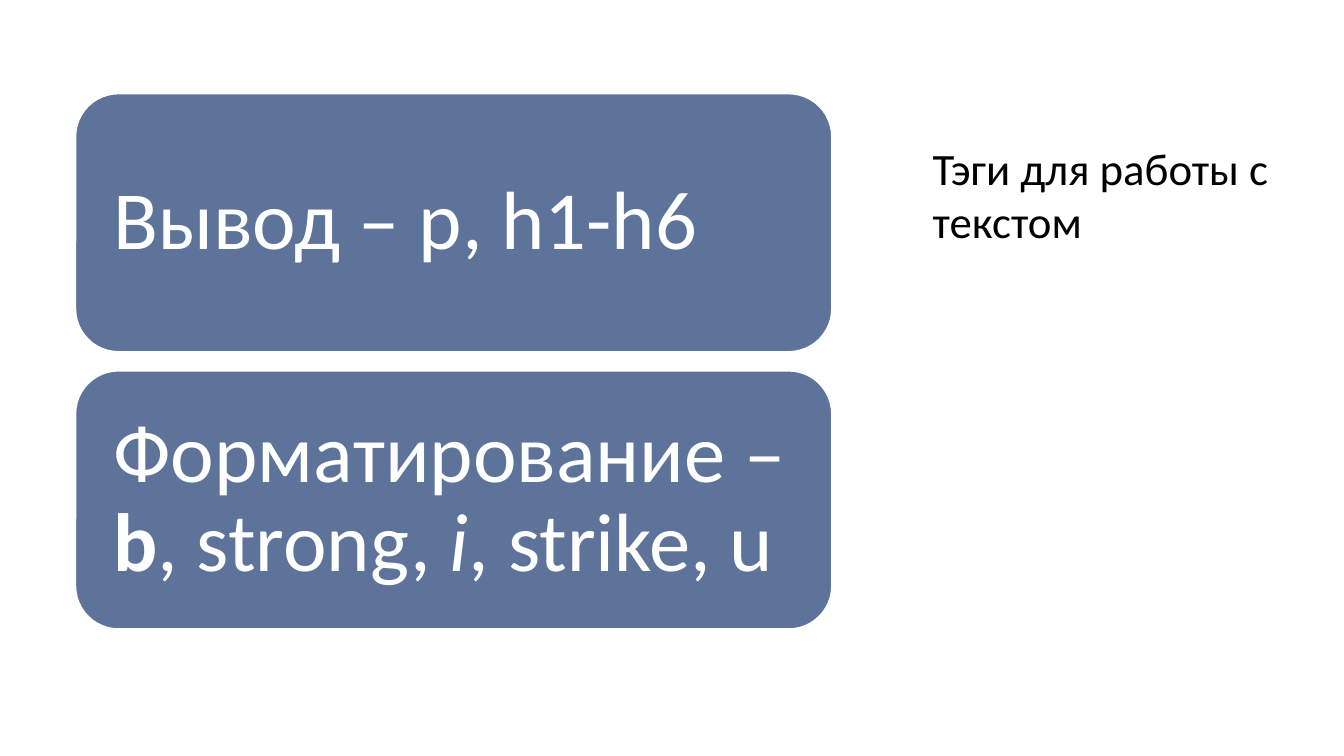
"""Builds a slide about HTML tags for working with text."""
from pptx import Presentation
from pptx.dml.color import RGBColor
from pptx.enum.shapes import MSO_SHAPE
from pptx.enum.text import MSO_ANCHOR, PP_ALIGN
from pptx.util import Inches, Pt

ROUNDED = MSO_SHAPE.ROUNDED_RECTANGLE
MIDDLE, BOTTOM = MSO_ANCHOR.MIDDLE, MSO_ANCHOR.BOTTOM
LEFT = PP_ALIGN.LEFT

HEADING = "Тэги для работы с текстом"
TAG_GROUPS = [
    [("Вывод – p, h1-h6", "")],
    [("Форматирование – ", ""), ("b", "bold"), (", strong, ", ""),
     ("i", "italic"), (", strike, u", "")],
]

THEME = {
    "font": "Calibri",
    "heading_size": Pt(32),
    "card_size": Pt(59),
    "ink": RGBColor(0x00, 0x00, 0x00),
    "card": RGBColor(0x5D, 0x73, 0x9A),
    "light": RGBColor(0xFF, 0xFF, 0xFF),
}

CARD_LEFT, CARD_TOP = 0.75, 0.93
CARD_WIDTH, CARD_HEIGHT, CARD_GAP = 7.5, 2.56, 0.19
CARD_INSET = 0.25


def set_frame(frame, anchor, inset):
    frame.word_wrap = True
    frame.vertical_anchor = anchor
    frame.margin_left = frame.margin_right = Inches(inset)
    frame.margin_top = frame.margin_bottom = Inches(inset)


def write(paragraph, pieces, size, color):
    paragraph.alignment = LEFT
    for words, style in pieces:
        run = paragraph.add_run()
        run.text = words
        run.font.name = THEME["font"]
        run.font.size = size
        run.font.color.rgb = color
        run.font.bold = style == "bold"
        run.font.italic = style == "italic"


def add_heading(slide):
    heading = slide.shapes.add_textbox(
        Inches(9.25), Inches(0.66), Inches(3.46), Inches(1.8))
    set_frame(heading.text_frame, BOTTOM, 0)
    write(heading.text_frame.paragraphs[0], [(HEADING, "")],
          THEME["heading_size"], THEME["ink"])


def add_card(slide, row, pieces):
    top = CARD_TOP + row * (CARD_HEIGHT + CARD_GAP)
    card = slide.shapes.add_shape(
        ROUNDED, Inches(CARD_LEFT), Inches(top),
        Inches(CARD_WIDTH), Inches(CARD_HEIGHT))
    card.shadow.inherit = False
    card.fill.solid()
    card.fill.fore_color.rgb = THEME["card"]
    card.line.color.rgb = THEME["light"]
    card.line.width = Pt(1)
    set_frame(card.text_frame, MIDDLE, CARD_INSET)
    paragraph = card.text_frame.paragraphs[0]
    paragraph.line_spacing = 0.9
    write(paragraph, pieces, THEME["card_size"], THEME["light"])


def main():
    deck = Presentation()
    deck.slide_width, deck.slide_height = Inches(13.33), Inches(7.5)
    slide = deck.slides.add_slide(deck.slide_layouts[6])
    add_heading(slide)
    for row, pieces in enumerate(TAG_GROUPS):
        add_card(slide, row, pieces)
    deck.save("out.pptx")


if __name__ == "__main__":
    main()
